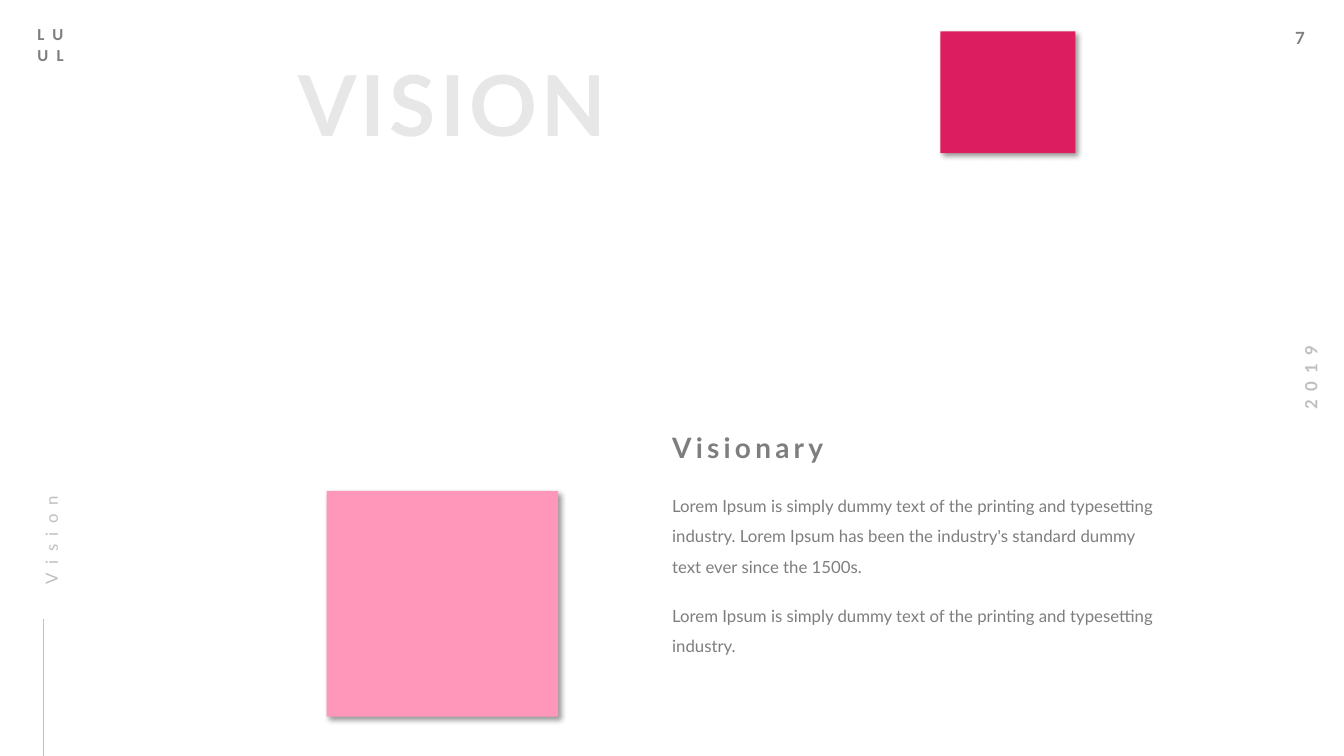
import pptx
import pptx.dml.color
import pptx.enum.shapes
import pptx.enum.text
import pptx.oxml
import pptx.oxml.ns
import pptx.util

Cm = pptx.util.Cm
Pt = pptx.util.Pt
PAGE_WIDTH, PAGE_HEIGHT = 33.87, 19.05
GREY, SILVER, PALE = "7E7E7E", "BFBFBF", "E7E7E7"
PINK, CRIMSON = "FF97BB", "DC1E60"
DEFAULT_INSETS = (0.25, 0.13, 0.25, 0.13)
FLUSH_INSETS = (0, 0, 0.25, 0)
SHADOW = (
    f'<a:outerShdw {pptx.oxml.ns.nsdecls("a")} blurRad="{Pt(4)}" dist="{Pt(3)}" '
    'dir="2700000" algn="tl" rotWithShape="0">'
    '<a:srgbClr val="000000"><a:alpha val="40000"/></a:srgbClr></a:outerShdw>'
)


def color(value):
    return pptx.dml.color.RGBColor.from_string(value)


def add_text(page, text, left, top, width, height, size=12, hue=GREY, bold=False,
             font="Lato", tracking=0, line_spacing=None, insets=FLUSH_INSETS,
             rotation=0, wrap=True, align=pptx.enum.text.PP_ALIGN.LEFT):
    box = page.shapes.add_textbox(Cm(left), Cm(top), Cm(width), Cm(height))
    box.rotation = rotation
    frame = box.text_frame
    frame.word_wrap = wrap
    frame.auto_size = pptx.enum.text.MSO_AUTO_SIZE.SHAPE_TO_FIT_TEXT
    frame.margin_left, frame.margin_top, frame.margin_right, frame.margin_bottom = map(Cm, insets)
    frame.text = text
    for para in frame.paragraphs:
        para.alignment = align
        if line_spacing:
            para.line_spacing = line_spacing
        for span in para.runs:
            span.font.name = font
            span.font.size = Pt(size)
            span.font.bold = bold
            span.font.color.rgb = color(hue)
            if tracking:
                span.font._element.set("spc", str(tracking * 100))


def add_square(page, left, top, width, height, hue):
    square = page.shapes.add_shape(pptx.enum.shapes.MSO_SHAPE.RECTANGLE,
                                   Cm(left), Cm(top), Cm(width), Cm(height))
    square.fill.solid()
    square.fill.fore_color.rgb = color(hue)
    square.line.fill.background()
    square.shadow.inherit = False
    effects = square._element.spPr.find(pptx.oxml.ns.qn("a:effectLst"))
    effects.append(pptx.oxml.parse_xml(SHADOW))


def add_margins(page, left, top, width, height):
    right = left + width
    add_text(page, "7", right - 1.48, top + 0.56, 1.04, 0.76, bold=True,
             insets=DEFAULT_INSETS, wrap=False)
    add_text(page, "2019", right - 2.02, top + 9.14, 2.36, 0.76, hue=SILVER, bold=True,
             tracking=6, insets=DEFAULT_INSETS, rotation=270, wrap=False,
             align=pptx.enum.text.PP_ALIGN.CENTER)
    add_text(page, "LU\nUL", left + 0.69, top + 0.48, 1.5, 1.27, bold=True,
             font="Calibri", tracking=6, insets=DEFAULT_INSETS)


def add_side_label(page, left, top, width, height):
    rule_left, bottom = Cm(left + 1.09), top + height
    rule = page.shapes.add_connector(pptx.enum.shapes.MSO_CONNECTOR.STRAIGHT,
                                     rule_left, Cm(bottom), rule_left, Cm(bottom - 3.45))
    rule.line.color.rgb = color(SILVER)
    rule.line.width = Pt(0.5)
    rule._element.spPr.append(pptx.oxml.parse_xml(
        f'<a:effectLst {pptx.oxml.ns.nsdecls("a")}/>'))
    add_text(page, "Vision", left - 1.24, bottom - 7.01, 4.7, 0.66, hue=SILVER,
             tracking=6, line_spacing=1.5, rotation=270)


def add_article(page, left, top, width, height):
    add_text(page, "Visionary", left, top, 8.89, 0.86, size=20, bold=True, tracking=3)
    passages = [
        (1.39, 2.21, "Lorem Ipsum is simply dummy text of the printing and typesetting "
                     "industry. Lorem Ipsum has been the industry's standard dummy text "
                     "ever since the 1500s."),
        (4.16, 1.45, "Lorem Ipsum is simply dummy text of the printing and typesetting "
                     "industry."),
    ]
    for offset, passage_height, text in passages:
        add_text(page, text, left, top + offset, width, passage_height, line_spacing=1.5)


def add_vision_page(deck):
    page = deck.slides.add_slide(deck.slide_layouts[6])
    page.background.fill.solid()
    page.background.fill.fore_color.rgb = color("FFFFFF")
    full_page = (0, 0, PAGE_WIDTH, PAGE_HEIGHT)
    add_margins(page, *full_page)
    add_text(page, "VISION", 7.52, 1.32, 9.5, 2.54, size=60, hue=PALE, bold=True, tracking=3)
    add_square(page, 8.23, 12.37, 5.84, 5.69, PINK)
    add_side_label(page, *full_page)
    add_square(page, 23.7, 0.79, 3.4, 3.07, CRIMSON)
    add_article(page, 16.94, 10.85, 12.42, 5.61)


def main():
    deck = pptx.Presentation()
    deck.slide_width = Cm(PAGE_WIDTH)
    deck.slide_height = Cm(PAGE_HEIGHT)
    add_vision_page(deck)
    deck.save("out.pptx")


if __name__ == "__main__":
    main()
